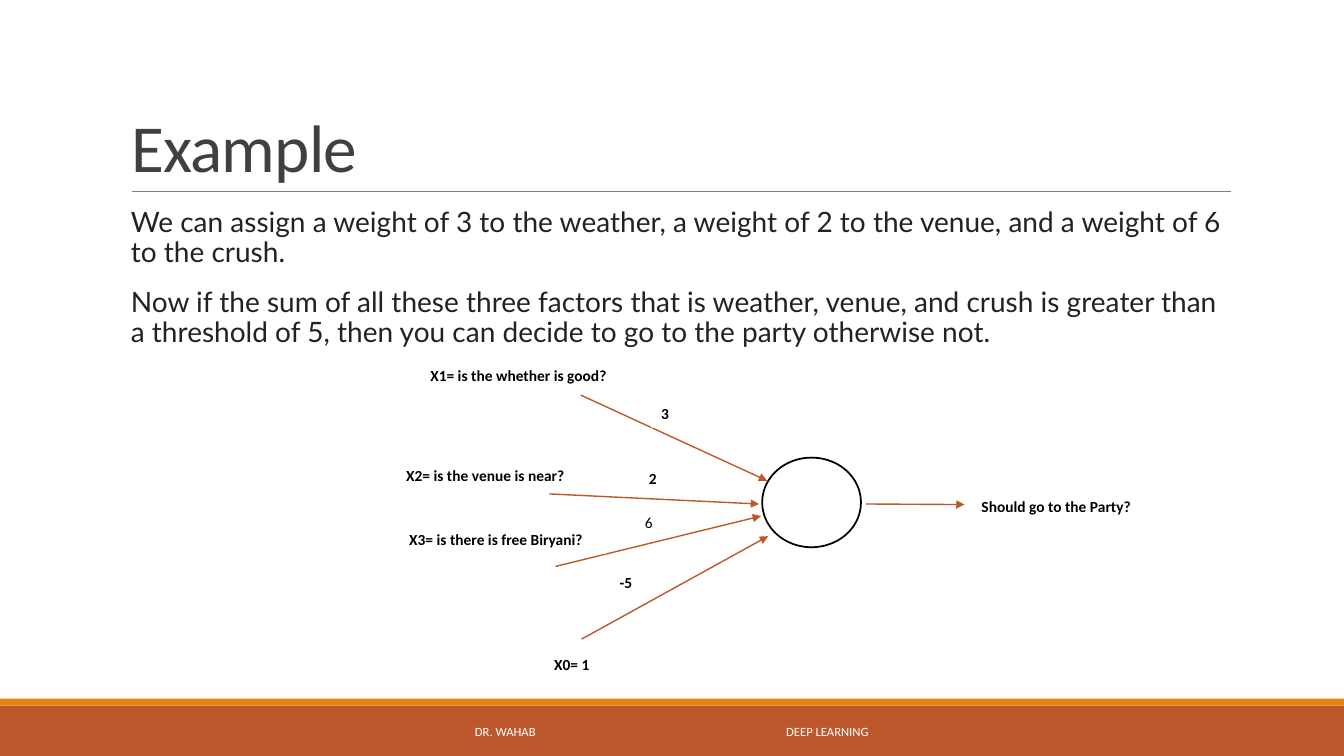
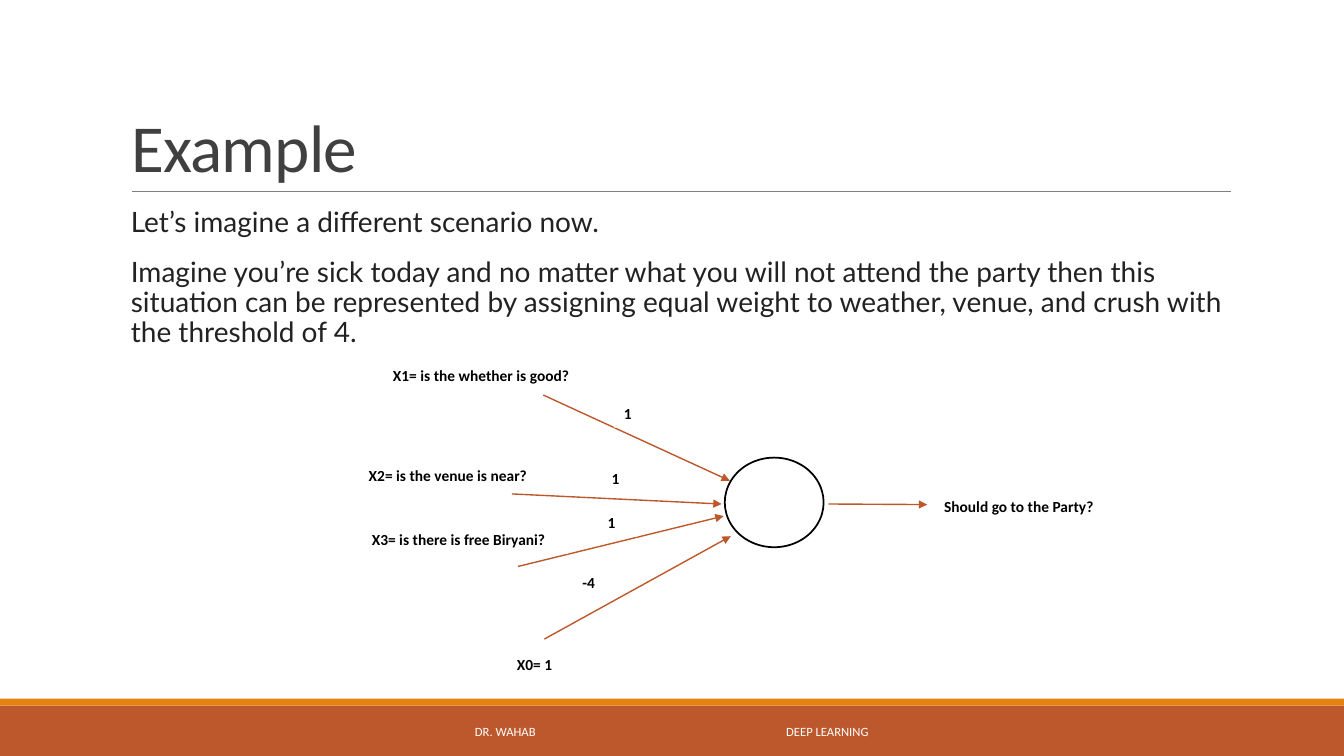
from dataclasses import dataclass

from lxml import etree
from pptx import Presentation
from pptx.dml.color import RGBColor
from pptx.enum.shapes import MSO_CONNECTOR, MSO_SHAPE
from pptx.enum.text import MSO_ANCHOR, MSO_AUTO_SIZE, PP_ALIGN
from pptx.oxml.ns import qn
from pptx.util import Pt

RUST = RGBColor(0xBD, 0x58, 0x2C)
ORANGE = RGBColor(0xE4, 0x83, 0x12)
GRAY = RGBColor(0x80, 0x80, 0x80)
TITLE_GRAY = RGBColor(0x40, 0x40, 0x40)
BODY_GRAY = RGBColor(0x22, 0x22, 0x22)
BLACK = RGBColor(0, 0, 0)
WHITE = RGBColor(0xFF, 0xFF, 0xFF)

STRAIGHT = MSO_CONNECTOR.STRAIGHT
RECTANGLE = MSO_SHAPE.RECTANGLE
NEURON = MSO_SHAPE.FLOWCHART_CONNECTOR
LEFT = PP_ALIGN.LEFT
TOP, MIDDLE, BOTTOM = MSO_ANCHOR.TOP, MSO_ANCHOR.MIDDLE, MSO_ANCHOR.BOTTOM
NO_AUTOFIT = MSO_AUTO_SIZE.NONE

TITLE_ONLY = 5
PAGE_WIDTH, PAGE_HEIGHT = 960, 540
TITLE_FONT, BODY_FONT = "Calibri", "Lato"
WEIGHT_WIDTH, LABEL_HEIGHT = 28.8, 21


@dataclass(frozen=True)
class Label:
    text: str
    left: float
    top: float
    width: float
    bold: bool = True


@dataclass(frozen=True)
class Arrow:
    start: tuple[float, float]
    end: tuple[float, float]


@dataclass(frozen=True)
class Scenario:
    paragraphs: tuple[str, ...]
    weights: tuple[str, ...]
    diagram_left: float
    plain_weight: str = ""


ARROWS = (
    Arrow((335.5, 360), (406, 360.4)),
    Arrow((131.8, 282.2), (265, 343.4)),
    Arrow((109.4, 352.8), (259.2, 360)),
    Arrow((113.8, 404.6), (260.6, 368.6)),
    Arrow((132.5, 456.5), (265.7, 383)),
)
WEIGHT_SPOTS = ((182.2, 284.4), (173.5, 330.5), (170.6, 362.2), (152.6, 404.6))
NEURON_LABELS = (
    Label("Should go to the Party?", 411, 350.6, 124.6),
    Label("X1= is the whether is good?", 17.3, 257, 149),
    Label("X2= is the venue is near?", 0, 328.3, 137.5),
    Label("X3= is there is free Biryani?", 2.2, 374.4, 147.6),
    Label("X0= 1", 105.8, 463.7, 45.4),
)
FOOTERS = (
    Label("DR. WAHAB", 339.3, 508.3, 80, False),
    Label("DEEP LEARNING", 561.6, 508.3, 100, False),
)
SCENARIOS = (
    Scenario(
        (
            "We can assign a weight of 3 to the weather, a weight of 2 to the venue, "
            "and a weight of 6 to the crush.",
            "Now if the sum of all these three factors that is weather, venue, and crush "
            "is greater than a threshold of 5, then you can decide to go to the party "
            "otherwise not.",
        ),
        ("3", "2", "6", "-5"),
        283,
        plain_weight="6",
    ),
    Scenario(
        (
            "Let’s imagine a different scenario now.",
            "Imagine you’re sick today and no matter what you will not attend the party "
            "then this situation can be represented by assigning equal weight to weather, "
            "venue, and crush with the threshold of 4.",
        ),
        ("1", "1", "1", "-4"),
        256.3,
    ),
)


def style_paragraph(para, font: str, size: float, color: RGBColor, bold: bool = False) -> None:
    para.alignment = LEFT
    para.font.name = font
    para.font.size = Pt(size)
    para.font.bold = bold
    para.font.color.rgb = color


def add_filled(shapes, kind, left: float, top: float, width: float, height: float,
               color: RGBColor):
    shape = shapes.add_shape(kind, Pt(left), Pt(top), Pt(width), Pt(height))
    shape.shadow.inherit = False
    shape.fill.solid()
    shape.fill.fore_color.rgb = color
    shape.line.fill.background()
    return shape


def add_line(shapes, start: tuple[float, float], end: tuple[float, float],
             color: RGBColor, width: float, arrow: bool = False) -> None:
    line = shapes.add_connector(STRAIGHT, *(Pt(value) for value in start + end))
    line.line.color.rgb = color
    line.line.width = Pt(width)
    properties = line._element.spPr
    if arrow:
        etree.SubElement(properties.find(qn("a:ln")), qn("a:tailEnd"), type="triangle")
    etree.SubElement(properties, qn("a:effectLst"))


def add_label(shapes, label: Label, left: float) -> None:
    box = add_filled(shapes, RECTANGLE, left + label.left, label.top, label.width,
                     LABEL_HEIGHT, WHITE)
    box.text_frame.vertical_anchor = TOP
    para = box.text_frame.paragraphs[0]
    para.text = label.text
    para.line_spacing = 1.07
    para.space_after = Pt(8)
    style_paragraph(para, TITLE_FONT, 11, BLACK, label.bold)


def add_frame(page) -> None:
    add_filled(page.shapes, RECTANGLE, 0, 504, PAGE_WIDTH, 36, RUST)
    add_filled(page.shapes, RECTANGLE, 0, 499, PAGE_WIDTH, 5, ORANGE)
    add_line(page.shapes, (94.3, 136.8), (879, 136.8), GRAY, 0.5)
    for footer in FOOTERS:
        box = page.shapes.add_textbox(Pt(footer.left), Pt(footer.top), Pt(footer.width), Pt(28.8))
        frame = box.text_frame
        frame.word_wrap = True
        frame.vertical_anchor = MIDDLE
        frame.margin_left = frame.margin_right = 0
        frame.text = footer.text
        style_paragraph(frame.paragraphs[0], TITLE_FONT, 9, WHITE)


def set_title(page, text: str) -> None:
    title = page.shapes.title
    title.left, title.top, title.width, title.height = Pt(86.4), Pt(22.6), Pt(792), Pt(114.2)
    frame = title.text_frame
    frame.auto_size = NO_AUTOFIT
    frame.vertical_anchor = BOTTOM
    frame.text = text
    para = frame.paragraphs[0]
    para.line_spacing = 0.85
    style_paragraph(para, TITLE_FONT, 48, TITLE_GRAY)
    para.runs[0].font._element.set("spc", "-50")


def add_body(page, paragraphs: tuple[str, ...]) -> None:
    box = page.shapes.add_textbox(Pt(86.4), Pt(145.4), Pt(792), Pt(316.8))
    frame = box.text_frame
    frame.word_wrap = True
    frame.margin_left, frame.margin_right = Pt(7.2), 0
    frame.text = "\n".join(paragraphs)
    for para in frame.paragraphs:
        para.line_spacing = 0.9
        para.space_before = Pt(12)
        para.space_after = Pt(2)
        style_paragraph(para, BODY_FONT, 20, BODY_GRAY)


def add_diagram(page, scenario: Scenario) -> None:
    left = scenario.diagram_left
    shapes = page.shapes.add_group_shape().shapes
    neuron = add_filled(shapes, NEURON, left + 261.4, 326.9, 70.6, 64, WHITE)
    neuron.line.color.rgb = BLACK
    neuron.line.width = Pt(1.25)
    for arrow in ARROWS:
        (start_x, start_y), (end_x, end_y) = arrow.start, arrow.end
        add_line(shapes, (left + start_x, start_y), (left + end_x, end_y), RUST, 1, arrow=True)
    for weight, (x, y) in zip(scenario.weights, WEIGHT_SPOTS):
        bold = weight != scenario.plain_weight
        add_label(shapes, Label(weight, x, y, WEIGHT_WIDTH, bold), left)
    for label in NEURON_LABELS:
        add_label(shapes, label, left)


def main() -> None:
    deck = Presentation()
    deck.slide_width, deck.slide_height = Pt(PAGE_WIDTH), Pt(PAGE_HEIGHT)
    for scenario in SCENARIOS:
        page = deck.slides.add_slide(deck.slide_layouts[TITLE_ONLY])
        add_frame(page)
        set_title(page, "Example")
        add_body(page, scenario.paragraphs)
        add_diagram(page, scenario)
    deck.save("out.pptx")


if __name__ == "__main__":
    main()
